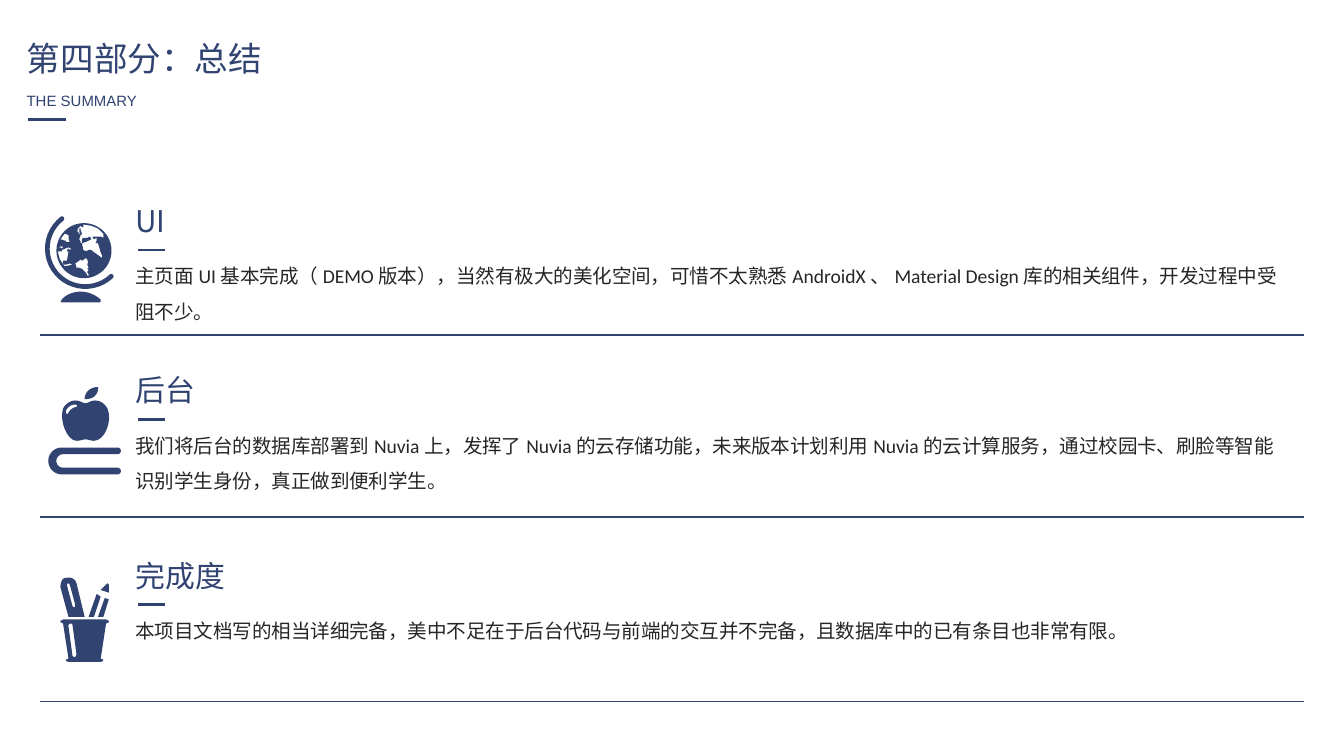
from math import cos, radians, sin

from lxml import etree
from pptx import Presentation
from pptx.dml.color import RGBColor
from pptx.enum.shapes import MSO_CONNECTOR
from pptx.enum.text import MSO_ANCHOR, MSO_AUTO_SIZE, PP_ALIGN
from pptx.oxml.ns import qn
from pptx.util import Inches, Pt

STRAIGHT = MSO_CONNECTOR.STRAIGHT
TOP = MSO_ANCHOR.TOP
LEFT = PP_ALIGN.LEFT
GROW = MSO_AUTO_SIZE.SHAPE_TO_FIT_TEXT
NAVY = "304371"
DARK = "262626"
CJK_FONT = "Noto Sans CJK SC"

SECTIONS = [
    (1.46, 2.49, 0.44, 0.6, "UI",
     "主页面UI基本完成（DEMO版本），当然有极大的美化空间，可惜不太熟悉AndroidX、Material Design库的相关组件，"
     "开发过程中受阻不少。"),
    (2.72, 3.85, 0.65, 0.6, "后台",
     "我们将后台的数据库部署到Nuvia上，发挥了Nuvia的云存储功能，未来版本计划利用Nuvia的云计算服务，"
     "通过校园卡、刷脸等智能识别学生身份，真正做到便利学生。"),
    (4.1, 5.22, 0.88, 0.34, "完成度",
     "本项目文档写的相当详细完备，美中不足在于后台代码与前端的交互并不完备，且数据库中的已有条目也非常有限。"),
]


def color(value):
    """Turn a hex string into a colour."""
    return RGBColor.from_string(value)


def fill_text(shape, text, size, font_name, text_color, wrap=False, spacing=None):
    """Write one formatted paragraph into a shape."""
    frame = shape.text_frame
    frame.word_wrap = wrap
    frame.auto_size = GROW
    frame.vertical_anchor = TOP
    paragraph = frame.paragraphs[0]
    paragraph.alignment = LEFT
    if spacing:
        paragraph.line_spacing = spacing
    run = paragraph.add_run()
    run.text = text
    run.font.size = Pt(size)
    run.font.name = font_name
    run.font.color.rgb = color(text_color)
    east_asian = etree.SubElement(run.font._element, qn("a:ea"))
    east_asian.set("typeface", CJK_FONT)


def add_text(slide, left, top, width, height, *text_format, **options):
    """Add a text box holding one paragraph."""
    box = slide.shapes.add_textbox(Inches(left), Inches(top), Inches(width), Inches(height))
    fill_text(box, *text_format, **options)


def add_rule(slide, left, right, y, weight):
    """Draw a horizontal navy line."""
    line = slide.shapes.add_connector(STRAIGHT, Inches(left), Inches(y), Inches(right), Inches(y))
    line.line.color.rgb = color(NAVY)
    line.line.width = Pt(weight)
    etree.SubElement(line._element.spPr, qn("a:effectLst"))


def arc(center_x, center_y, radius, start, end, steps=24):
    """Return points along a circular arc given in degrees."""
    angles = [radians(start + (end - start) * step / steps) for step in range(steps + 1)]
    return [(center_x + radius * cos(angle), center_y + radius * sin(angle)) for angle in angles]


def curve(*points, steps=8):
    """Return points along joined cubic curves."""
    result = [points[0]]
    for index in range(0, len(points) - 1, 3):
        corners = points[index:index + 4]
        for step in range(1, steps + 1):
            t = step / steps
            weights = ((1 - t) ** 3, 3 * t * (1 - t) ** 2, 3 * t * t * (1 - t), t ** 3)
            result.append(tuple(sum(weight * corner[axis] for weight, corner in zip(weights, corners))
                                for axis in (0, 1)))
    return result


def add_icon(slide, contours):
    """Draw a navy icon from closed contours in hundredths of an inch."""
    scaled = [[(Inches(x / 100), Inches(y / 100)) for x, y in contour] for contour in contours]
    builder = slide.shapes.build_freeform(*scaled[0][0])
    for index, contour in enumerate(scaled):
        if index:
            builder.move_to(*contour[0])
        builder.add_line_segments(contour[1:], close=True)
    icon = builder.convert_to_shape()
    icon.shadow.inherit = False
    icon.fill.solid()
    icon.fill.fore_color.rgb = color(NAVY)
    icon.line.fill.background()


def globe_contours():
    """Return the globe with its stand and continents."""
    stand = curve((46, 225), (45, 225), (45, 224), (46, 223), (48, 220), (54, 217), (60, 217),
                  (66, 217), (72, 220), (75, 223), (75, 224), (75, 225), (74, 225))
    ring = (arc(63.5, 185, 30, 47, 232) + arc(46.1, 162.75, 1.75, 232, 412, 8)
            + arc(63.5, 185, 26.5, 232, 47) + arc(82.75, 205.65, 1.75, -133, 47, 8))
    sphere = arc(62.5, 186.5, 20.5, 0, 360, 48)
    africa_europe = [
        (59, 174), (60, 174), (59, 173), (59, 170), (60, 170), (60, 171), (61, 174), (60, 175),
        (59, 178), (60, 180), (60, 181), (61, 181), (61, 178), (62, 177), (65, 177), (67, 176),
        (68, 178), (64, 180), (61, 181), (62, 186), (64, 187), (66, 186), (68, 186), (69, 187),
        (76, 192), (76, 190), (75, 188), (73, 181), (72, 181), (71, 181), (72, 179), (72, 177),
        (70, 178), (69, 177), (69, 176), (70, 176), (72, 176), (73, 176), (75, 176), (77, 177),
        (77, 174), (73, 170), (68, 168), (62, 167), (62, 169), (61, 169), (60, 168), (58, 170), (57.5, 172)]
    southern_land = [
        (56, 196), (57, 199), (57, 200), (58, 199), (61, 200), (64, 203), (65, 205), (66, 205),
        (66, 204), (65, 203), (65, 202), (66, 201), (65, 200), (66, 199), (65, 197), (65.5, 195),
        (65, 193), (64, 192), (61, 194), (60, 193), (59, 194)]
    western_land = [
        (50, 186), (51, 185), (52, 186), (53, 185), (51, 184), (46, 186), (46, 187), (43, 187),
        (44.5, 193), (48, 198), (49, 198), (54, 197), (52, 196), (49, 197), (48, 197), (47, 196),
        (47, 194), (49, 194), (50, 194), (50, 193), (51, 187), (50, 187)]
    northern_land = [
        (48, 174), (45, 178), (48, 179), (49, 179), (49, 180), (52, 180), (51, 178), (51, 175), (49, 174)]
    island = [(43, 184), (45, 184), (46, 185), (47, 184), (46, 183), (47, 183)]
    return [stand, ring, sphere, africa_europe, southern_land, western_land, northern_land, island]


def apple_contours():
    """Return the apple standing on a book."""
    book = (arc(46, 343, 10, 90, 270) + arc(87.5, 335.5, 2.5, -90, 90, 8)
            + arc(47, 343, 5, 270, 90) + arc(87.5, 350.5, 2.5, -90, 90, 8))
    leaf = curve((64, 297), (69, 297), (73, 294), (73, 289), (73, 288), (73, 288), (73, 288),
                 (67, 288), (63, 292), (63, 297))
    apple = curve((80, 304), (78, 300), (74, 298), (71, 298), (67, 298), (66, 300), (64, 300),
                  (61, 300), (60, 298), (56, 298), (53, 298), (49, 300), (47, 304),
                  (44, 313), (50, 328), (57, 328), (60, 328), (61, 327), (64, 327),
                  (66, 327), (67, 328), (70, 328), (78, 328), (84, 313), (80, 304))
    gleam = curve((56, 303), (55, 303), (52, 305), (51, 307), (51, 308), (50, 308), (50, 308),
                  (49, 308), (49, 307), (49, 306), (50, 303), (53, 301), (56, 301),
                  (58, 301), (58, 303), (56, 303))
    return [book, leaf, apple, gleam]


def pencil_cup_contours():
    """Return the cup with a ruler and pencils."""
    short_pencil = [(78, 445), (81, 446), (77, 459), (73, 459)]
    tip = [(81, 435), (80, 434), (75, 439), (81, 441)]
    long_pencil = [(70, 459), (75, 444), (72, 442), (66, 459)]
    ruler = curve((45, 437), (45, 434), (46, 430), (49, 430), (53, 429), (56, 431), (57, 434))
    ruler += [(63, 459), (51, 459)]
    ruler_gap = [(50, 436), (54, 451), (55, 452), (56, 451.5), (56, 450), (52, 435), (51, 434), (50, 434.5)]
    cup = [(79, 461), (47, 461), (45, 462), (45, 463), (47, 464), (51, 490), (49, 491), (49.5, 492),
           (51, 492.5), (75, 492.5), (76.5, 492), (77, 491), (75, 490), (79, 464), (81, 463), (81, 462)]
    cup_gleam = [(55, 489), (54, 488), (51, 466), (51, 465), (52, 464), (53.5, 464), (54, 465), (57, 487), (56.5, 488.5)]
    return [short_pencil, tip, long_pencil, ruler, ruler_gap, cup, cup_gleam]


def add_section(slide, top, rule_y, heading_width, body_height, heading, body):
    """Add a heading, its dash, its text and the rule below."""
    add_text(slide, 0.91, top, heading_width, 0.37, heading, 16, CJK_FONT, NAVY)
    add_text(slide, 0.91, top + 0.37, 8.69, body_height, body, 10.5, "Calibri", DARK,
             wrap=True, spacing=1.5)
    add_rule(slide, 1.03, 1.23, top + 0.4, 1.5)
    add_rule(slide, 0.3, 9.7, rule_y, 1)


def main():
    """Build the summary slide."""
    presentation = Presentation()
    presentation.slide_width = Inches(10)
    presentation.slide_height = Inches(10 * 9 / 16)
    slide = presentation.slides.add_slide(presentation.slide_layouts[5])
    title = slide.shapes.title
    title.left, title.top, title.width, title.height = map(Inches, (0.1, 0.23, 1.97, 0.4))
    fill_text(title, "第四部分：总结", 18, CJK_FONT, NAVY)
    add_text(slide, 0.1, 0.63, 1.03, 0.24, "THE SUMMARY", 8, "Arial", NAVY)
    add_rule(slide, 0.21, 0.49, 0.89, 1.5)
    for section in SECTIONS:
        add_section(slide, *section)
    for contours in (globe_contours(), apple_contours(), pencil_cup_contours()):
        add_icon(slide, contours)
    presentation.save("out.pptx")


if __name__ == "__main__":
    main()
